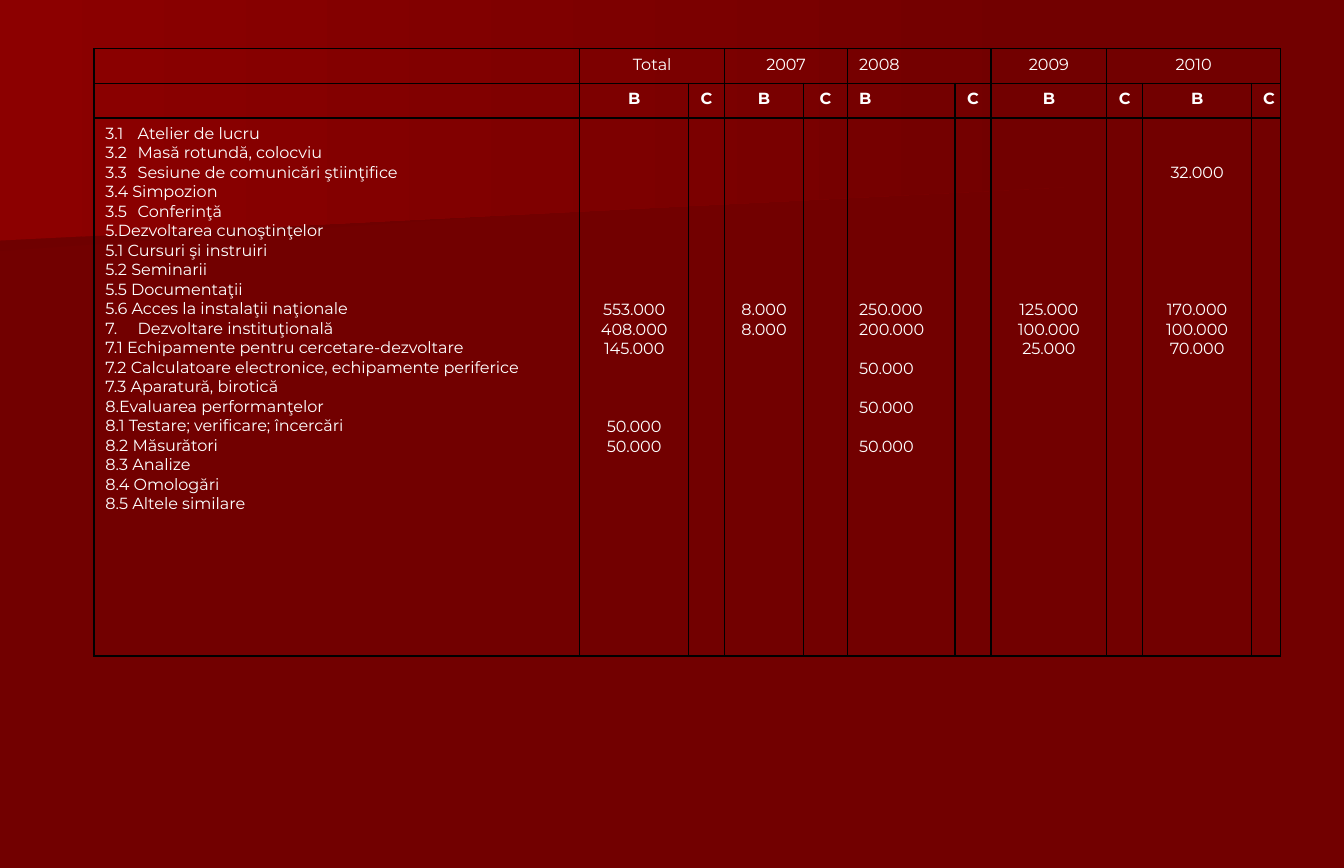
"""Build the budget slide: activities by year on a dark red background."""
from dataclasses import dataclass, field

from lxml import etree
from pptx import Presentation
from pptx.dml.color import RGBColor
from pptx.enum.text import PP_ALIGN
from pptx.oxml.ns import qn
from pptx.util import Cm, Pt

LEFT, CENTER, JUSTIFY = PP_ALIGN.LEFT, PP_ALIGN.CENTER, PP_ALIGN.JUSTIFY
FONT, SIZE, LINE_HEIGHT = "Montserrat", 10, 12.19
WHITE, BLACK, DARK_RED = "FFFFFF", "000000", "720000"
MARGIN = Cm(0.13)
ROW_HEIGHTS = (0.76, 0.76, 11.81)


@dataclass
class Band:
    points: list[tuple[float, float]]
    start: str


@dataclass
class Column:
    width: float
    head: str
    align: PP_ALIGN = CENTER
    figures: dict[int, str] = field(default_factory=dict)


@dataclass
class Period:
    label: str
    first: int
    span: int
    align: PP_ALIGN = CENTER


BANDS = [
    Band([(0, 2.57), (22.99, 2.57), (22.96, 3.89), (0, 5.51)], "6F0000"),
    Band([(0, 0), (23.37, 0), (23.37, 4.11), (0, 5.28)], "8C0000"),
]

PERIODS = [
    Period("Total", 1, 2),
    Period("2007", 3, 2),
    Period("2008", 5, 2, LEFT),
    Period("2009", 7, 1),
    Period("2010", 8, 3),
]

ACTIVITIES = [
    "3.1\tAtelier de lucru",
    "3.2\tMasă rotundă, colocviu",
    "3.3\tSesiune de comunicări ştiinţifice",
    "3.4 Simpozion",
    "3.5\tConferinţă",
    "5.Dezvoltarea cunoştinţelor",
    "5.1 Cursuri şi instruiri",
    "5.2 Seminarii",
    "5.5 Documentaţii",
    "5.6 Acces la instalaţii naţionale",
    "7.\tDezvoltare instituţională",
    "7.1 Echipamente pentru cercetare-dezvoltare",
    "7.2 Calculatoare electronice, echipamente periferice",
    "7.3 Aparatură, birotică",
    "8.Evaluarea performanţelor",
    "8.1 Testare; verificare; încercări",
    "8.2 Măsurători",
    "8.3 Analize",
    "8.4 Omologări",
    "8.5 Altele similare",
]

COLUMNS = [
    Column(10.67, "", JUSTIFY, dict(enumerate(ACTIVITIES))),
    Column(2.39, "B", CENTER, {9: "553.000", 10: "408.000", 11: "145.000",
                               15: "50.000", 16: "50.000"}),
    Column(0.79, "C"),
    Column(1.73, "B", CENTER, {9: "8.000", 10: "8.000"}),
    Column(0.97, "C"),
    Column(2.36, "B", LEFT, {9: "250.000", 10: "200.000", 12: "50.000",
                             14: "50.000", 16: "50.000"}),
    Column(0.79, "C"),
    Column(2.54, "B", CENTER, {9: "125.000", 10: "100.000", 11: "25.000"}),
    Column(0.79, "C"),
    Column(2.39, "B", CENTER, {2: "32.000", 9: "170.000", 10: "100.000", 11: "70.000"}),
    Column(0.64, "C"),
]


def rgb(value: str) -> RGBColor:
    """Turn a hex string into a colour."""
    return RGBColor.from_string(value)


def add_band(s, band: Band) -> None:
    """Draw a background band that fades to the right."""
    points = [(Cm(x), Cm(y)) for x, y in band.points]
    builder = s.shapes.build_freeform(*points[0])
    builder.add_line_segments(points[1:], close=True)
    sp = builder.convert_to_shape()
    sp.shadow.inherit = False
    sp.line.fill.background()
    sp.fill.gradient()
    sp.fill.gradient_angle = 0
    for stop, color in zip(sp.fill.gradient_stops, (band.start, DARK_RED)):
        stop.color.rgb = rgb(color)


def format_cell(cell) -> None:
    """Give a cell black borders, no fill and a small empty line."""
    tc_pr = cell._tc.get_or_add_tcPr()
    for side in ("a:lnL", "a:lnR", "a:lnT", "a:lnB"):
        ln = etree.SubElement(tc_pr, qn(side), w=str(Pt(1)))
        fill = etree.SubElement(ln, qn("a:solidFill"))
        etree.SubElement(fill, qn("a:srgbClr"), val=BLACK)
    cell.fill.background()
    cell.margin_top = cell.margin_bottom = MARGIN
    p = cell.text_frame.paragraphs[0]
    etree.SubElement(p._p, qn("a:endParaRPr"), sz=str(SIZE * 100))


def add_tab_stop(p, position: int) -> None:
    """Set a left tab stop on a paragraph."""
    tabs = etree.SubElement(p._p.get_or_add_pPr(), qn("a:tabLst"))
    etree.SubElement(tabs, qn("a:tab"), pos=str(position), algn="l")


def write_lines(cell, lines: dict[int, str], align: PP_ALIGN, bold: bool = False) -> None:
    """Write each text at its line number within the cell."""
    tf = cell.text_frame
    previous = None
    for number, text in lines.items():
        if previous is None:
            p = tf.paragraphs[0]
            cell.margin_top = MARGIN + Pt(number * LINE_HEIGHT)
        else:
            p = tf.add_paragraph()
            p.space_before = Pt((number - previous - 1) * LINE_HEIGHT)
        previous = number
        p.alignment = align
        if "\t" in text:
            add_tab_stop(p, Cm(0.71))
        r = p.add_run()
        r.text = text
        r.font.name, r.font.size, r.font.bold = FONT, Pt(SIZE), bold
        r.font.color.rgb = rgb(WHITE)


def add_budget_table(s) -> None:
    """Add the table of activities and yearly figures."""
    width = sum(column.width for column in COLUMNS)
    frame = s.shapes.add_table(len(ROW_HEIGHTS), len(COLUMNS), Cm(2.06), Cm(1.07),
                               Cm(width), Cm(sum(ROW_HEIGHTS)))
    table = frame.table
    table.first_row = table.horz_banding = False
    for row, height in zip(table.rows, ROW_HEIGHTS):
        row.height = Cm(height)
    for cell in table.iter_cells():
        format_cell(cell)
    for period in PERIODS:
        cell = table.cell(0, period.first)
        if period.span > 1:
            cell.merge(table.cell(0, period.first + period.span - 1))
        write_lines(cell, {0: period.label}, period.align)
    for i, column in enumerate(COLUMNS):
        table.columns[i].width = Cm(column.width)
        if column.head:
            write_lines(table.cell(1, i), {0: column.head}, column.align, bold=True)
        write_lines(table.cell(2, i), column.figures, column.align)


def main() -> None:
    """Build and save the slide."""
    prs = Presentation()
    prs.slide_width, prs.slide_height = Cm(29.51), Cm(19.05)
    s = prs.slides.add_slide(prs.slide_layouts[6])
    s.background.fill.solid()
    s.background.fill.fore_color.rgb = rgb(DARK_RED)
    for band in BANDS:
        add_band(s, band)
    add_budget_table(s)
    prs.save("out.pptx")


if __name__ == "__main__":
    main()
